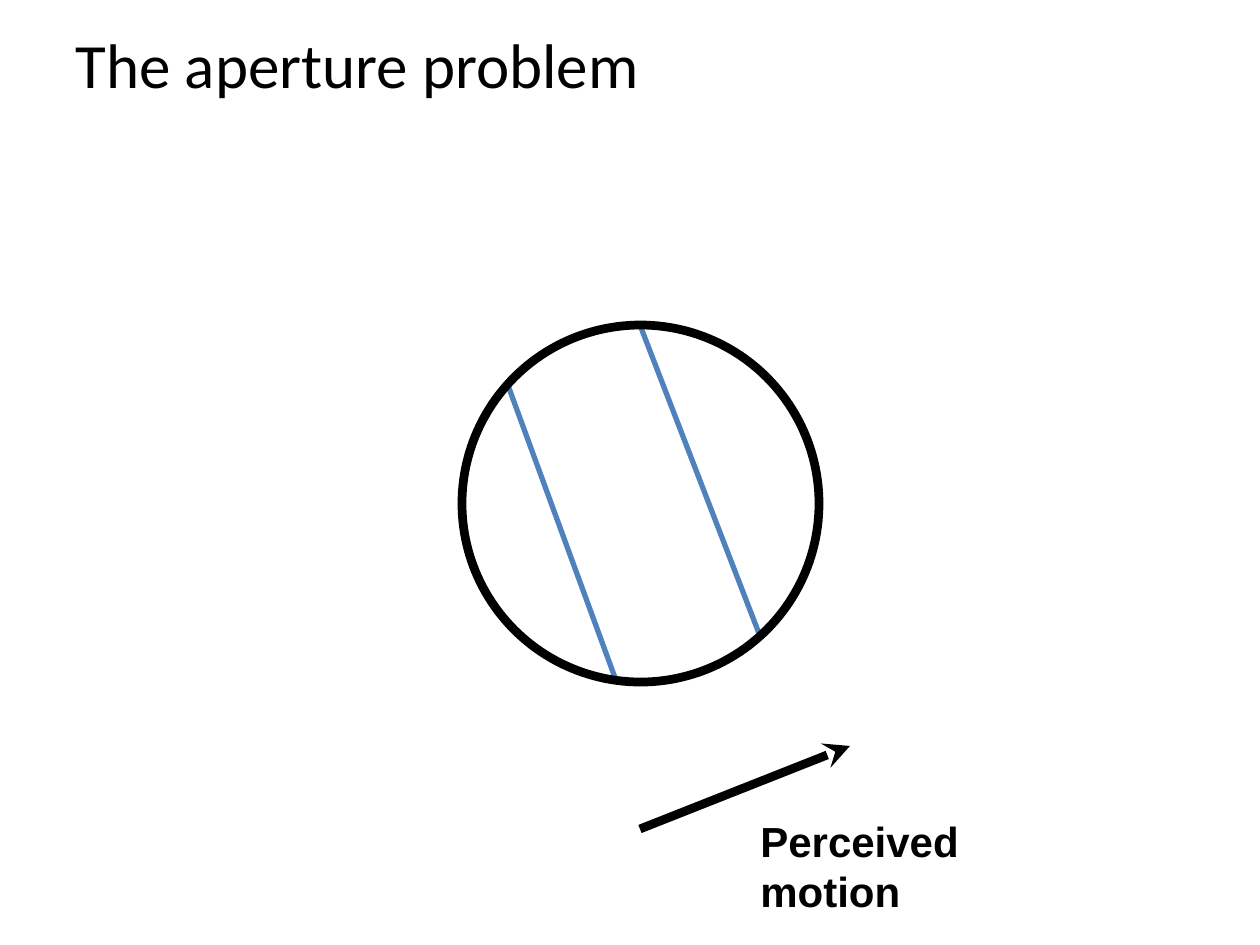
from dataclasses import dataclass

import pptx
import pptx.dml.color
import pptx.enum.shapes
import pptx.enum.text
import pptx.oxml
import pptx.oxml.ns
import pptx.util

EMU_PER_PX = 914400 / 126


@dataclass(frozen=True)
class Theme:
    ink: str = "000000"
    stripe: str = "4F81BD"
    title_font: str = "Calibri"
    label_font: str = "Arial"
    title_size: int = 36
    label_size: int = 24
    stripe_width: int = 3
    heavy_width: int = 5


THEME = Theme()


def px(length):
    return pptx.util.Emu(round(length * EMU_PER_PX))


def rgb(code):
    return pptx.dml.color.RGBColor.from_string(code)


def format_text(frame, font_name, size, bold):
    frame.word_wrap = True
    paragraph = frame.paragraphs[0]
    paragraph.alignment = pptx.enum.text.PP_ALIGN.LEFT
    for run in paragraph.runs:
        run.font.name = font_name
        run.font.size = pptx.util.Pt(size)
        run.font.bold = bold
        run.font.color.rgb = rgb(THEME.ink)


def add_line(slide, start, end, color, width):
    line = slide.shapes.add_connector(
        pptx.enum.shapes.MSO_CONNECTOR.STRAIGHT, *map(px, start + end))
    line.line.color.rgb = rgb(color)
    line.line.width = pptx.util.Pt(width)
    pptx.oxml.ns.qn("a:effectLst")
    line._element.spPr.append(pptx.oxml.parse_xml(
        f'<a:effectLst {pptx.oxml.ns.nsdecls("a")}/>'))
    return line


def place_title(slide, left, top, width, height):
    title = slide.shapes.title
    title.left, title.top = px(left), px(top)
    title.width, title.height = px(width), px(height)
    title.text_frame.text = "The aperture problem"
    title.text_frame.vertical_anchor = pptx.enum.text.MSO_ANCHOR.MIDDLE
    format_text(title.text_frame, THEME.title_font, THEME.title_size, False)


def draw_aperture(slide, left, top, diameter):
    # Stripes seen through the aperture
    for x1, y1, x2, y2 in ((47, 63, 155, 358), (178, 0, 298, 311)):
        add_line(slide, (left + x1, top + y1), (left + x2, top + y2),
                 THEME.stripe, THEME.stripe_width)

    # Rim
    rim = slide.shapes.add_shape(
        pptx.enum.shapes.MSO_SHAPE.OVAL,
        px(left), px(top), px(diameter), px(diameter))
    rim.shadow.inherit = False
    rim.fill.background()
    rim.line.color.rgb = rgb(THEME.ink)
    rim.line.width = pptx.util.Pt(THEME.heavy_width)


def draw_motion(slide, left, top, width, height):
    # Arrow across the region's upper left
    arrow = add_line(slide, (left, top + 83), (left + 210, top),
                     THEME.ink, THEME.heavy_width)
    arrow.line._get_or_add_ln().append(pptx.oxml.parse_xml(
        f'<a:tailEnd {pptx.oxml.ns.nsdecls("a")} type="stealth"/>'))

    # Label below the arrowhead
    label = slide.shapes.add_textbox(
        px(left + 108), px(top + 63), px(width - 108), px(height - 63))
    label.text_frame.text = "Perceived motion"
    format_text(label.text_frame, THEME.label_font, THEME.label_size, True)


def main():
    deck = pptx.Presentation()
    deck.slide_width, deck.slide_height = px(1260), px(945)
    slide = deck.slides.add_slide(deck.slide_layouts.get_by_name("Title Only"))
    place_title(slide, 63, 0, 1134, 126)
    draw_aperture(slide, 462, 325, 357)
    draw_motion(slide, 640, 746, 463, 126)
    deck.save("out.pptx")


if __name__ == "__main__":
    main()
